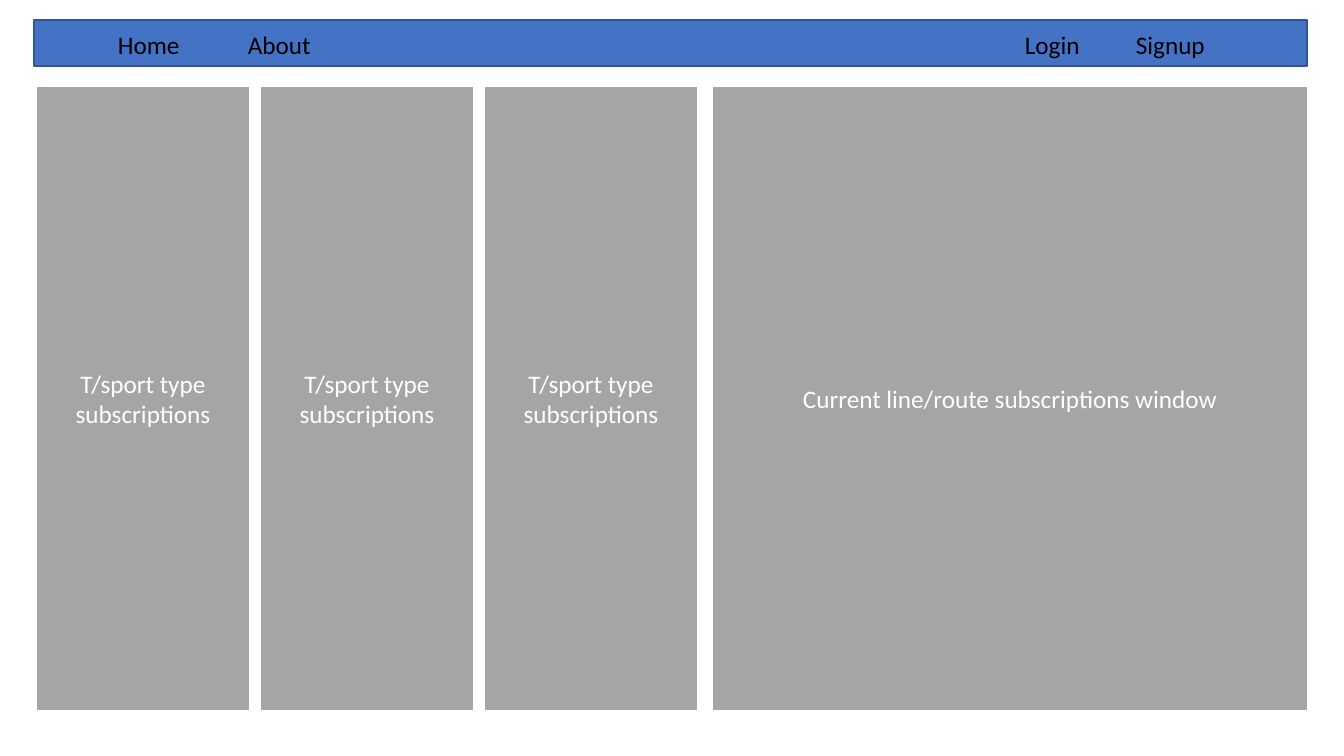
from pptx import Presentation
from pptx.util import Pt
from pptx.dml.color import RGBColor
from pptx.enum.shapes import MSO_SHAPE as Shape
from pptx.enum.text import PP_ALIGN as Align, MSO_ANCHOR as Anchor, MSO_AUTO_SIZE as Fit
from lxml.etree import SubElement
from pptx.oxml.ns import qn

PX = 914400 / 100.8
BLUE = RGBColor(0x44, 0x72, 0xC4)
NAVY = RGBColor(0x32, 0x54, 0x91)
GRAY = RGBColor(0xA5, 0xA5, 0xA5)
WHITE = RGBColor(0xFF, 0xFF, 0xFF)
BLACK = RGBColor(0, 0, 0)


def write(frame, text, color=WHITE, align=Align.CENTER, anchor=Anchor.MIDDLE):
    frame.word_wrap = True
    frame.vertical_anchor = anchor
    para = frame.paragraphs[0]
    para.alignment = align
    run = para.add_run()
    run.text = text
    run.font.name = "Calibri"
    run.font.size = Pt(18)
    run.font.color.rgb = color
    return para


def block(x, y, w, h, fill, edge, width):
    box = slide.shapes.add_shape(Shape.RECTANGLE, *(round(n * PX) for n in (x, y, w, h)))
    box.shadow.inherit = False
    box.fill.solid()
    box.fill.fore_color.rgb = fill
    box.line.color.rgb = edge
    box.line.width = Pt(width)
    return box


deck = Presentation()
deck.slide_width = round(1344 * PX)
deck.slide_height = round(756 * PX)
slide = deck.slides.add_slide(deck.slide_layouts[6])

# Menu bar
block(34, 20, 1273, 46, BLUE, NAVY, 1)

# Menu entries, set apart by tab stops
menu = slide.shapes.add_textbox(*(round(n * PX) for n in (108, 24, 1164, 40)))
menu.text_frame.auto_size = Fit.SHAPE_TO_FIT_TEXT
entries = write(menu.text_frame, "Home\tAbout\tLogin\tSignup",
                color=BLACK, align=Align.LEFT, anchor=Anchor.TOP)
tabs = SubElement(entries._p.get_or_add_pPr(), qn("a:tabLst"))
for stop in (130, 907, 1018):
    SubElement(tabs, qn("a:tab"), pos=str(round(stop * PX)), algn="l")

# Three subscription columns and the wide window
panels = [(36 + 224 * i, 214, "T/sport type subscriptions") for i in range(3)]
panels.append((712, 596, "Current line/route subscriptions window"))
for left, wide, label in panels:
    panel = block(left, 86, wide, 625, GRAY, WHITE, 1.5)
    write(panel.text_frame, label)

deck.save("out.pptx")
